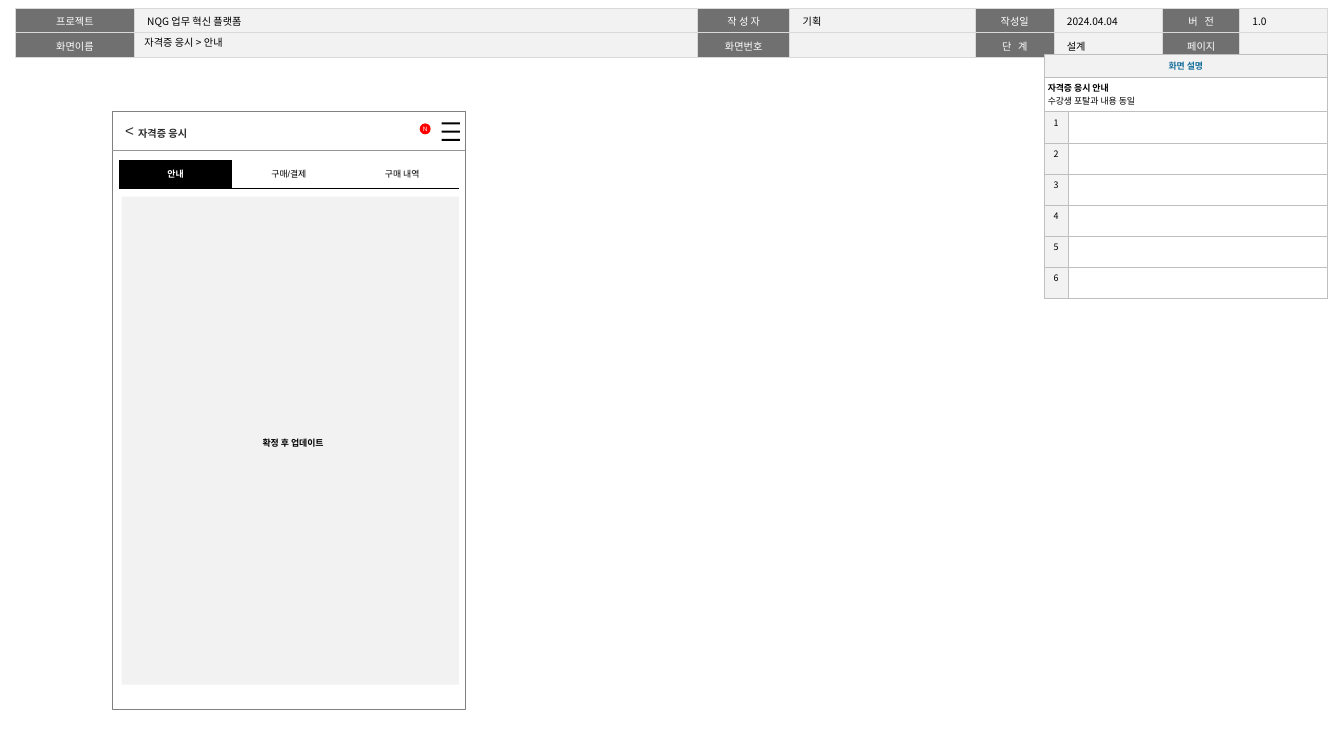
import dataclasses
import typing

import pptx
import pptx.dml.color
import pptx.enum.shapes
import pptx.enum.text
import pptx.oxml
import pptx.oxml.ns
import pptx.util

SCALE = 9144
COLORS = {
    "white": "FFFFFF", "black": "000000", "ink": "2E2E2E", "label": "707070",
    "pale": "F2F2F2", "grid": "D9D9D9", "edge": "BFBFBF", "frame": "808080",
    "rule": "969696", "red": "FF0000", "blue": "176F9B",
}
KOREAN = "Noto Sans CJK KR"
PLAIN = "{2D5ABB26-0587-4C30-8999-92F81FD0307C}"
MIDDLE = pptx.enum.text.MSO_ANCHOR.MIDDLE
TOP = pptx.enum.text.MSO_ANCHOR.TOP
SHAPE = pptx.enum.shapes.MSO_SHAPE


@dataclasses.dataclass(frozen=True)
class Look:
    size: int
    color: str
    font: str = KOREAN
    bold: bool = False
    center: bool = True
    lines: float = 1.0
    pad: tuple[int, int, int] = (4, 5, 4)
    anchor: typing.Any = MIDDLE
    track: int = 0


@dataclasses.dataclass(frozen=True)
class Cell:
    text: str
    look: Look
    fill: str


@dataclasses.dataclass(frozen=True)
class Box:
    left: int
    top: int
    width: int
    height: int

    def emu(self) -> tuple[int, ...]:
        return tuple(px(n) for n in dataclasses.astuple(self))


def px(count: int) -> int:
    return pptx.util.Emu(count * SCALE)


def rgb(name: str) -> pptx.dml.color.RGBColor:
    return pptx.dml.color.RGBColor.from_string(COLORS[name])


def style(host: typing.Any, frame: typing.Any, text: str, look: Look) -> None:
    frame.text = text
    host.margin_left, host.margin_top, host.margin_right = map(px, look.pad)
    host.margin_bottom = host.margin_top
    host.vertical_anchor = look.anchor
    align = pptx.enum.text.PP_ALIGN
    for para in frame.paragraphs:
        para.alignment = align.CENTER if look.center else align.LEFT
        para.line_spacing = look.lines
        font = para.font
        font.size, font.bold, font.name = pptx.util.Pt(look.size), look.bold, look.font
        font.color.rgb = rgb(look.color)
        props = para._p.pPr.find(pptx.oxml.ns.qn("a:defRPr"))
        east = pptx.oxml.parse_xml(f'<a:ea {pptx.oxml.ns.nsdecls("a")} typeface="{KOREAN}"/>')
        props.append(east)
        if not text:
            para._p.get_or_add_endParaRPr().set("sz", str(look.size * 100))
        elif look.track:
            para.runs[0]._r.get_or_add_rPr().set("spc", str(look.track))


def border(cell: typing.Any, sides: str, color: str, width: float) -> None:
    props = cell._tc.get_or_add_tcPr()
    for side in sides:
        props.append(pptx.oxml.parse_xml(
            f'<a:ln{side} {pptx.oxml.ns.nsdecls("a")} w="{int(width * 12700)}"><a:solidFill>'
            f'<a:srgbClr val="{COLORS[color]}"/></a:solidFill></a:ln{side}>'))


def draw_table(shapes: typing.Any, left: int, top: int, cols: list[int], rows: list[int],
               cells: list[list[Cell]], sides: str, color: str, width: float) -> typing.Any:
    area = Box(left, top, sum(cols), sum(rows))
    table = shapes.add_table(len(rows), len(cols), *area.emu()).table
    table.first_row = table.horz_banding = False
    table._tbl.tblPr.find(pptx.oxml.ns.qn("a:tableStyleId")).text = PLAIN
    for col, size in zip(table.columns, cols):
        col.width = px(size)
    for row, size, line in zip(table.rows, rows, cells):
        row.height = px(size)
        for cell, item in zip(row.cells, line):
            border(cell, sides, color, width)
            cell.fill.solid()
            cell.fill.fore_color.rgb = rgb(item.fill)
            style(cell, cell.text_frame, item.text, item.look)
    return table


def paint(shape: typing.Any, fill: str = "", line: str = "") -> typing.Any:
    shape.shadow.inherit = False
    if fill:
        shape.fill.solid()
        shape.fill.fore_color.rgb = rgb(fill)
    else:
        shape.fill.background()
    if line:
        shape.line.color.rgb = rgb(line)
        shape.line.width = pptx.util.Pt(0.5)
    else:
        shape.line.fill.background()
    return shape


def draw_text(shapes: typing.Any, box: Box, text: str, look: Look, wrap: bool) -> None:
    frame = shapes.add_textbox(*box.emu()).text_frame
    style(frame, frame, text, look)
    frame.word_wrap = wrap
    frame.auto_size = pptx.enum.text.MSO_AUTO_SIZE.SHAPE_TO_FIT_TEXT


def draw_header(shapes: typing.Any) -> None:
    label = Look(8, "white", lines=1.05, pad=(14, 5, 14), anchor=TOP)
    wide = dataclasses.replace(label, track=180)
    value = dataclasses.replace(label, color="black", center=False)
    lines = [
        ["프로젝트", "NQG 업무 혁신 플랫폼", "작 성 자", "기획", "작성일", "2024.04.04", "버 전", "1.0"],
        ["화면이름", "", "화면번호", "", "단 계", "설계", "페이지", ""],
    ]
    cells = [[Cell(text, value, "pale") if i % 2 else
              Cell(text, wide if text in ("버 전", "단 계") else label, "label")
              for i, text in enumerate(line)] for line in lines]
    draw_table(shapes, 17, 9, [130, 616, 101, 203, 86, 119, 84, 96], [24, 24],
               cells, "LRTB", "grid", 1)


def draw_phone(shapes: typing.Any) -> None:
    paint(shapes.add_shape(SHAPE.RECTANGLE, *Box(123, 122, 386, 654).emu()), line="frame")
    rule = shapes.add_connector(pptx.enum.shapes.MSO_CONNECTOR.STRAIGHT,
                                px(122), px(164), px(509), px(164))
    rule.line.color.rgb, rule.line.width = rgb("rule"), pptx.util.Pt(0.5)
    rule._element.spPr.append(
        pptx.oxml.parse_xml(f'<a:effectLst {pptx.oxml.ns.nsdecls("a")}/>'))
    badge = paint(shapes.add_shape(SHAPE.OVAL, *Box(459, 135, 12, 12).emu()), "red")
    style(badge.text_frame, badge.text_frame, "N", Look(5, "white", "Arial", pad=(0, 0, 0)))
    badge.text_frame.word_wrap = False
    draw_text(shapes, Box(127, 128, 32, 30), "<",
              Look(12, "ink", "Arial", center=False, pad=(10, 5, 10), anchor=TOP), False)
    menu = shapes.build_freeform(483, 134, scale=SCALE)
    for i in range(3):
        top = 134 + 9 * i
        if i:
            menu.move_to(483, top)
        menu.add_line_segments([(483, top + 2), (503, top + 2), (503, top)], close=True)
    paint(menu.convert_to_shape(), "black")


def draw_title(shapes: typing.Any) -> None:
    title = shapes.title
    title.element.getparent().append(title.element)
    title.left, title.top, title.width, title.height = Box(147, 38, 385, 16).emu()
    frame = title.text_frame
    style(frame, frame, "자격증 응시 > 안내", Look(8, "black", center=False, pad=(11, 5, 11)))
    frame.auto_size = pptx.enum.text.MSO_AUTO_SIZE.NONE


def draw_notes(shapes: typing.Any) -> None:
    head = Look(7, "blue", bold=True)
    lead = Look(7, "black", bold=True, center=False, anchor=TOP)
    mark = Look(7, "black", anchor=TOP)
    cells = [[Cell("화면 설명", head, "pale"), Cell("", head, "pale")],
             [Cell("자격증 응시 안내\n수강생 포탈과 내용 동일", lead, "white"), Cell("", lead, "white")]]
    cells += [[Cell(str(n), mark, "pale"), Cell("", mark, "white")] for n in range(1, 7)]
    table = draw_table(shapes, 1142, 59, [26, 284], [25, 25] + [34] * 6,
                       cells, "LRTB", "edge", 0.25)
    table.cell(1, 0).text_frame.paragraphs[1].font.bold = False
    for row in range(2):
        table.cell(row, 0).merge(table.cell(row, 1))


def draw_page(shapes: typing.Any) -> None:
    draw_text(shapes, Box(151, 128, 198, 28), "자격증 응시",
              Look(8, "ink", "Arial", True, False, 1.5, (0, 5, 0), TOP), True)
    tab = Look(7, "black", "Arial")
    live = dataclasses.replace(tab, color="white", bold=True)
    tabs = [Cell("안내", live, "black"), Cell("구매/결제", tab, "white"),
            Cell("구매 내역", tab, "white")]
    draw_table(shapes, 130, 175, [124] * 3, [31], [tabs], "B", "black", 1)
    body = paint(shapes.add_shape(SHAPE.RECTANGLE, *Box(133, 215, 369, 534).emu()), "pale")
    style(body.text_frame, body.text_frame, "확정 후 업데이트",
          Look(7, "black", "Arial", True, lines=1.5, pad=(16, 5, 10)))


def main() -> None:
    deck = pptx.Presentation()
    deck.slide_width, deck.slide_height = px(1470), px(827)
    shapes = deck.slides.add_slide(deck.slide_layouts[5]).shapes
    for draw in (draw_header, draw_phone, draw_title, draw_notes, draw_page):
        draw(shapes)
    deck.save("out.pptx")


if __name__ == "__main__":
    main()
